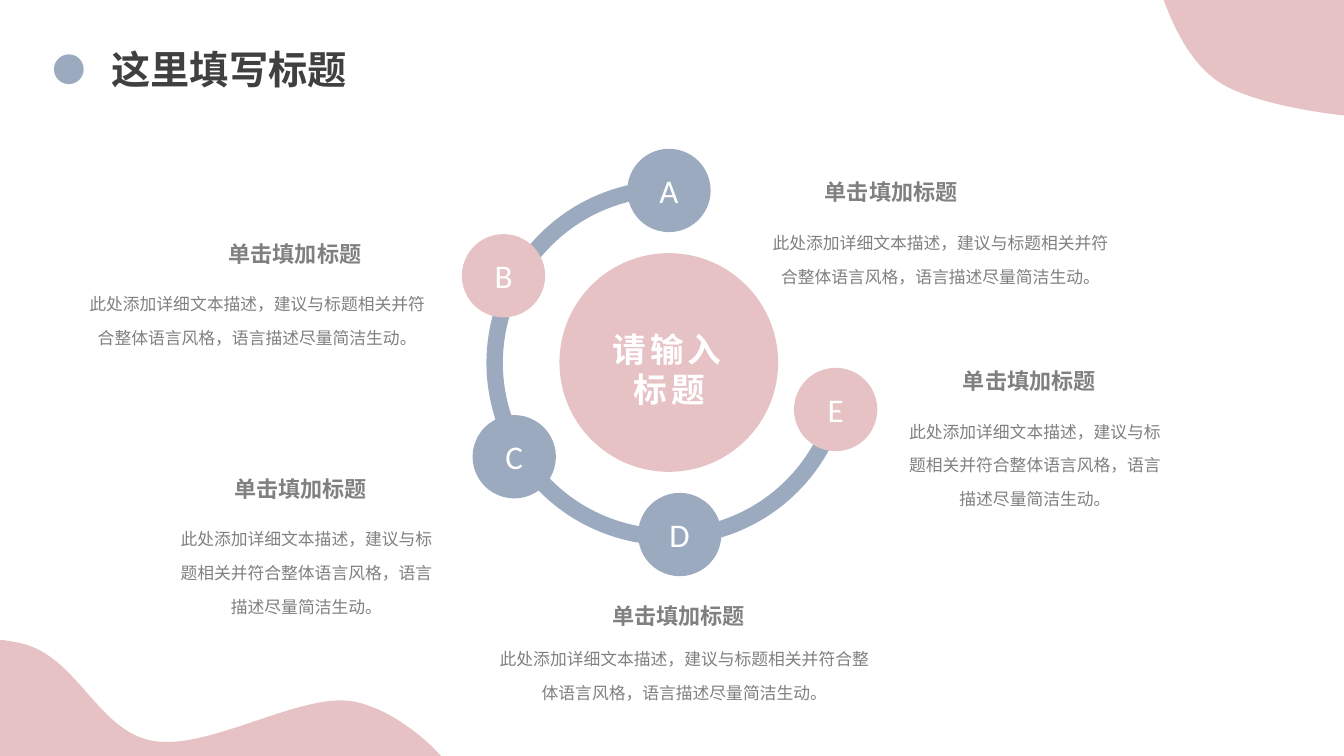
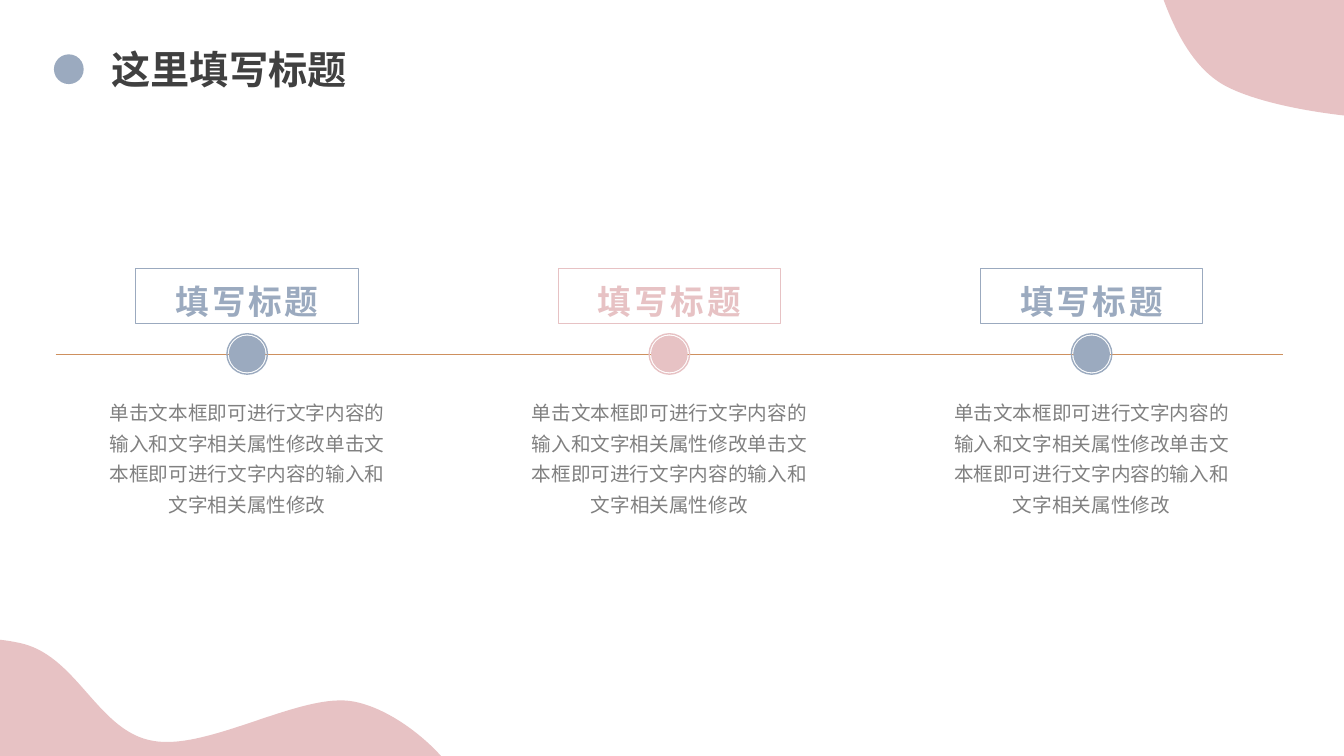
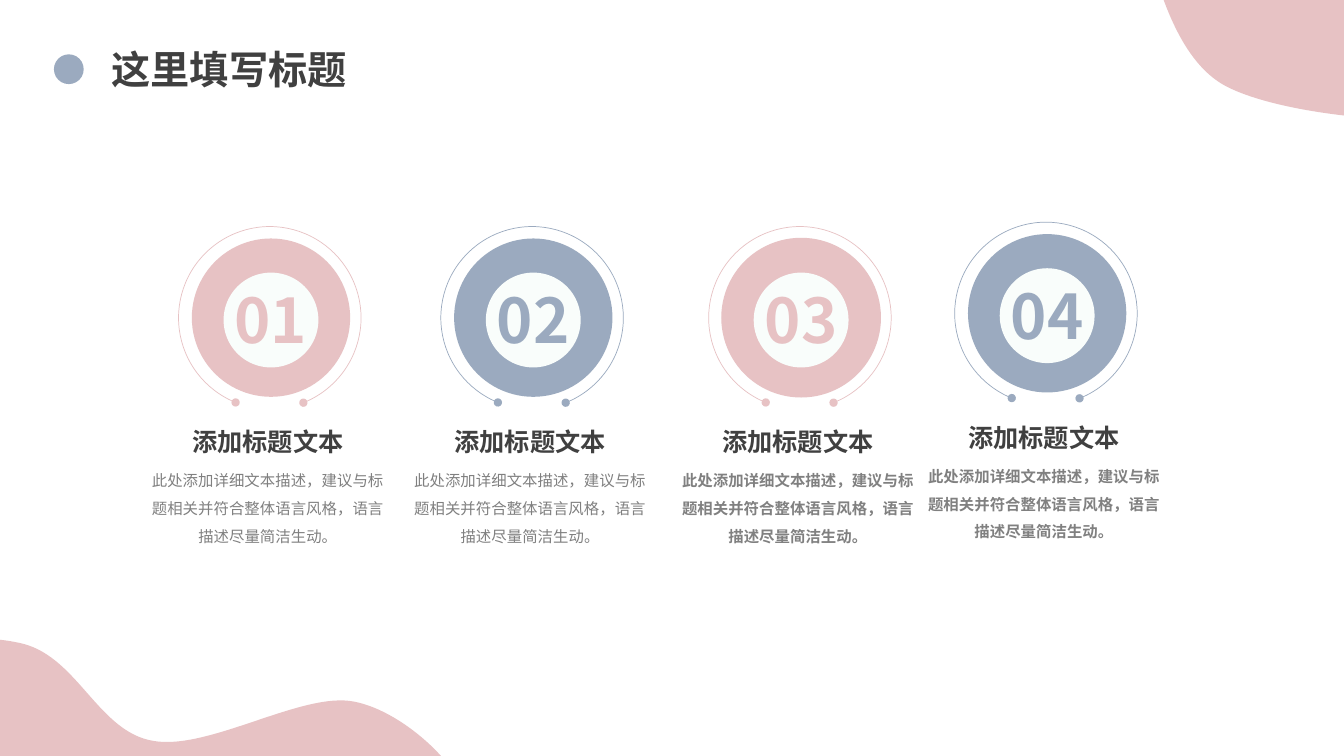
from dataclasses import dataclass

from lxml.etree import SubElement
from pptx import Presentation
from pptx.dml.color import RGBColor
from pptx.enum.shapes import MSO_CONNECTOR as Connector
from pptx.enum.shapes import MSO_SHAPE as Preset
from pptx.enum.text import MSO_ANCHOR as Anchor
from pptx.enum.text import MSO_AUTO_SIZE as AutoSize
from pptx.enum.text import PP_ALIGN as Align
from pptx.oxml.ns import qn
from pptx.shapes.autoshape import Shape
from pptx.slide import Slide, SlideLayout
from pptx.util import Cm, Pt

COLORS = {
    "pink": "E7C2C4",
    "blue": "9BAABF",
    "dark": "404040",
    "gray": "808080",
    "white": "FFFFFF",
    "mint": "F9FDFB",
    "orange": "CE905E",
}
FONT = "Noto Sans CJK SC"
LETTER_FONT = "Calibri"
LINE_HEIGHT = 1.2
DESCRIPTION = "此处添加详细文本描述，建议与标题相关并符合整体语言风格，语言描述尽量简洁生动。"
MILESTONE_TEXT = "单击文本框即可进行文字内容的输入和文字相关属性修改" * 2

Point = tuple[float, float]
# Outlines in cm: a start point, then three Bézier points per curve.
CORNER_BLOB: list[Point] = [
    (28.6, -2.31),
    (28.96, -1.57), (29.31, 1.35), (30.91, 2.18),
    (32.54, 3.02), (36.93, 3.33), (38.25, 2.67),
    (39.57, 2.01), (39.8, -0.89), (38.86, -1.83),
    (37.92, -2.79), (34.26, -2.95), (32.59, -3.02),
    (30.91, -3.1), (29.44, -2.36), (28.75, -2.26),
    (28.09, -2.13), (28.24, -3.05), (28.6, -2.31),
]
WAVE_BLOB: list[Point] = [
    (-4.32, 16.48),
    (-3.48, 16.15), (-0.74, 15.88), (0.61, 16.23),
    (1.98, 16.61), (2.49, 18.44), (3.86, 18.67),
    (5.26, 18.92), (7.62, 17.42), (8.92, 17.68),
    (10.24, 17.93), (11.81, 19.51), (11.68, 20.19),
    (11.58, 20.88), (10.87, 22.07), (8.18, 21.72),
    (5.49, 21.39), (-2.39, 19), (-4.45, 18.14),
    (-6.53, 17.25), (-5.16, 16.79), (-4.32, 16.48),
]


@dataclass(frozen=True)
class Style:
    size: float
    color: str = "gray"
    bold: bool = False
    leading: float = 1.0
    tracking: float = 0


@dataclass(frozen=True)
class Area:
    """A rectangle in cm."""
    left: float
    top: float
    width: float
    height: float

    @classmethod
    def centred(cls, center: float, top: float, width: float, height: float) -> "Area":
        return cls(center - width / 2, top, width, height)

    def lengths(self) -> tuple[Cm, Cm, Cm, Cm]:
        return Cm(self.left), Cm(self.top), Cm(self.width), Cm(self.height)


@dataclass(frozen=True)
class Callout:
    letter: str
    color: str
    node: Point
    heading: Point
    body: Area


@dataclass(frozen=True)
class Badge:
    number: str
    color: str
    center: float
    lift: float = 0
    bold: bool = False
    outline: float = 0


TITLE = Style(28, "dark", True)
CALLOUT_HEADING = Style(15.8, bold=True, leading=1.2)
CALLOUT_BODY = Style(12, leading=1.67)

CALLOUTS = [
    Callout("E", "pink", (20.01, 9.27), (23.71, 9.12), Area(22.58, 10.16, 7.01, 2.72)),
    Callout("D", "blue", (16.08, 12.42), (14.87, 15.05), Area(12.26, 15.89, 9.98, 1.85)),
    Callout("C", "blue", (11.91, 10.46), (5.34, 11.84), Area(4.22, 12.87, 7.01, 2.72)),
    Callout("B", "pink", (11.64, 5.9), (5.2, 5.92), Area(1.89, 6.95, 9.19, 1.85)),
    Callout("A", "blue", (15.81, 3.75), (20.23, 4.37), Area(19.11, 5.41, 9.19, 1.85)),
]
BADGES = [
    Badge("01", "pink", 6.83),
    Badge("02", "blue", 13.44),
    Badge("03", "pink", 20.19, bold=True, outline=1),
    Badge("04", "blue", 26.39, lift=0.11, bold=True),
]


def rgb(color: str) -> RGBColor:
    return RGBColor.from_string(COLORS[color])


def write(shape: Shape, text: str, style: Style, inset: bool = True) -> None:
    """Put one centred paragraph at the top of a shape."""
    frame = shape.text_frame
    frame.text = text
    frame.word_wrap = True
    frame.auto_size = AutoSize.NONE
    frame.vertical_anchor = Anchor.TOP
    if not inset:
        frame.margin_left = frame.margin_right = 0
        frame.margin_top = frame.margin_bottom = 0
    para = frame.paragraphs[0]
    para.alignment = Align.CENTER
    para.line_spacing = Pt(round(style.size * LINE_HEIGHT * style.leading, 1))
    span = para.runs[0]
    span.font.size = Pt(style.size)
    span.font.bold = style.bold
    span.font.color.rgb = rgb(style.color)
    span.font.name = FONT
    properties = span._r.get_or_add_rPr()
    SubElement(properties, qn("a:ea"), typeface=FONT)
    if style.tracking:
        properties.set("spc", str(int(style.tracking * 100)))


def add_text(shapes, area: Area, text: str, style: Style, inset: bool = True) -> None:
    write(shapes.add_textbox(*area.lengths()), text, style, inset)


def paint(shape: Shape, fill: str = "", line: str = "", width: float = 0) -> None:
    shape.shadow.inherit = False
    if fill:
        shape.fill.solid()
        shape.fill.fore_color.rgb = rgb(fill)
    else:
        shape.fill.background()
    if width:
        shape.line.color.rgb = rgb(line)
        shape.line.width = Pt(width)
    else:
        shape.line.fill.background()


def add_preset(shapes, preset: Preset, area: Area, fill: str = "",
               line: str = "", width: float = 0) -> Shape:
    shape = shapes.add_shape(preset, *area.lengths())
    paint(shape, fill, line, width)
    return shape


def set_angles(shape: Shape, start: float, end: float) -> None:
    """Set the clockwise sweep in degrees (60000 units each, scaled by 100000)."""
    shape.adjustments[0] = start * 0.6
    shape.adjustments[1] = end * 0.6


def add_blob(page: Slide, outline: list[Point]) -> Shape:
    """Build the outline from straight segments, then join each three into a curve."""
    start, *others = [(Cm(x), Cm(y)) for x, y in outline]
    builder = page.shapes.build_freeform(*start)
    builder.add_line_segments(others, close=True)
    blob = builder.convert_to_shape()
    paint(blob, "pink")
    segments = list(blob.element.iter(qn("a:lnTo")))
    for index in range(0, len(segments), 3):
        first, *rest = segments[index:index + 3]
        first.tag = qn("a:cubicBezTo")
        for segment in rest:
            first.append(segment[0])
            segment.getparent().remove(segment)
    return blob


def move_backdrop_to_layout(page: Slide, layout: SlideLayout) -> None:
    """Draw the shared decoration on a page and hand it to the layout."""
    for holder in list(layout.placeholders):
        if holder.placeholder_format.idx != 0:
            layout.shapes.element.remove(holder.element)
    backdrop = [
        add_blob(page, CORNER_BLOB),
        add_blob(page, WAVE_BLOB),
        add_preset(page.shapes, Preset.OVAL, Area(1.36, 1.37, 0.75, 0.75), "blue"),
    ]
    for shape in backdrop:
        layout.shapes.element.append(shape.element)


def add_page(deck, layout: SlideLayout) -> Slide:
    page = deck.slides.add_slide(layout)
    title = page.shapes.title
    title.left, title.top, title.width, title.height = Area(1.9, 1.01, 7.75, 1.45).lengths()
    write(title, "这里填写标题", TITLE)
    return page


def add_node(page: Slide, callout: Callout) -> None:
    node = add_preset(page.shapes, Preset.OVAL, Area(*callout.node, 2.1, 2.1), callout.color)
    frame = node.text_frame
    frame.text = callout.letter
    frame.vertical_anchor = Anchor.MIDDLE
    para = frame.paragraphs[0]
    para.alignment = Align.CENTER
    font = para.runs[0].font
    font.name = LETTER_FONT
    font.size = Pt(23.6)
    font.color.rgb = rgb("white")


def draw_cycle(page: Slide) -> None:
    shapes = page.shapes
    add_preset(shapes, Preset.OVAL, Area(14.1, 6.38, 5.51, 5.51), "pink")
    ring = add_preset(shapes, Preset.BLOCK_ARC, Area(12.26, 4.55, 9.19, 9.19), "blue")
    set_angles(ring, 15, 270)
    ring.adjustments[2] = 0.045
    for callout in CALLOUTS:
        add_node(page, callout)
    add_text(shapes, Area(14.94, 8.16, 3.84, 2.31), "请输入标题",
             Style(24, "white", True, tracking=3))
    for callout in CALLOUTS:
        add_text(shapes, callout.body, DESCRIPTION, CALLOUT_BODY)
        add_text(shapes, Area(*callout.heading, 4.47, 0.76), "单击填加标题",
                 CALLOUT_HEADING, inset=False)


def draw_timeline(page: Slide) -> None:
    shapes = page.shapes
    axis = 8.92
    line = shapes.add_connector(Connector.STRAIGHT, Cm(1.4), Cm(axis), Cm(32.33), Cm(axis))
    line.line.color.rgb = rgb("orange")
    line.line.width = Pt(0.5)
    SubElement(line.element.spPr, qn("a:effectLst"))
    for index, color in enumerate(("blue", "pink", "blue")):
        center = 6.23 + index * 10.64
        for size, fill in ((0.89, color), (1.02, "")):
            add_preset(shapes, Preset.OVAL,
                       Area.centred(center, axis - size / 2, size, size), fill, color, 1)
        label = add_preset(shapes, Preset.RECTANGLE,
                           Area.centred(center, 6.76, 5.61, 1.4), "", color, 0.75)
        write(label, "填写标题", Style(24, color, True, leading=1.2, tracking=2))
        add_text(shapes, Area.centred(center, 9.81, 7.65, 3.3), MILESTONE_TEXT,
                 Style(14, leading=1.3))


def draw_badge(page: Slide, badge: Badge) -> None:
    shapes = page.shapes.add_group_shape().shapes

    def place(top: float, width: float, height: float, shift: float = 0) -> Area:
        return Area.centred(badge.center + shift, top - badge.lift, width, height)

    add_preset(shapes, Preset.OVAL, place(6.01, 3.99, 3.99), badge.color,
               badge.color, badge.outline)
    orbit = add_preset(shapes, Preset.ARC, place(5.71, 4.6, 4.6, -0.03), "", badge.color, 0.5)
    set_angles(orbit, 112, 68.4)
    outline = orbit.element.spPr.find(qn("a:ln"))
    for end in ("a:headEnd", "a:tailEnd"):
        SubElement(outline, qn(end), type="oval")
    add_preset(shapes, Preset.OVAL, place(6.87, 2.39, 2.39), "mint")
    add_text(shapes, place(6.99, 2.51, 2.13), badge.number, Style(44, badge.color, True))
    add_text(shapes, place(10.62, 4.7, 0.91, -0.08), "添加标题文本", Style(18, "dark", True))
    add_text(shapes, place(11.52, 6.6, 2.29, -0.08), DESCRIPTION,
             Style(11, bold=badge.bold, leading=1.5))


def main() -> None:
    deck = Presentation()
    deck.slide_width, deck.slide_height = Cm(33.87), Cm(19.05)
    layout = deck.slide_layouts[5]
    cycle, timeline, badges = [add_page(deck, layout) for _ in range(3)]
    move_backdrop_to_layout(cycle, layout)
    draw_cycle(cycle)
    draw_timeline(timeline)
    for badge in BADGES:
        draw_badge(badges, badge)
    deck.save("out.pptx")


if __name__ == "__main__":
    main()
